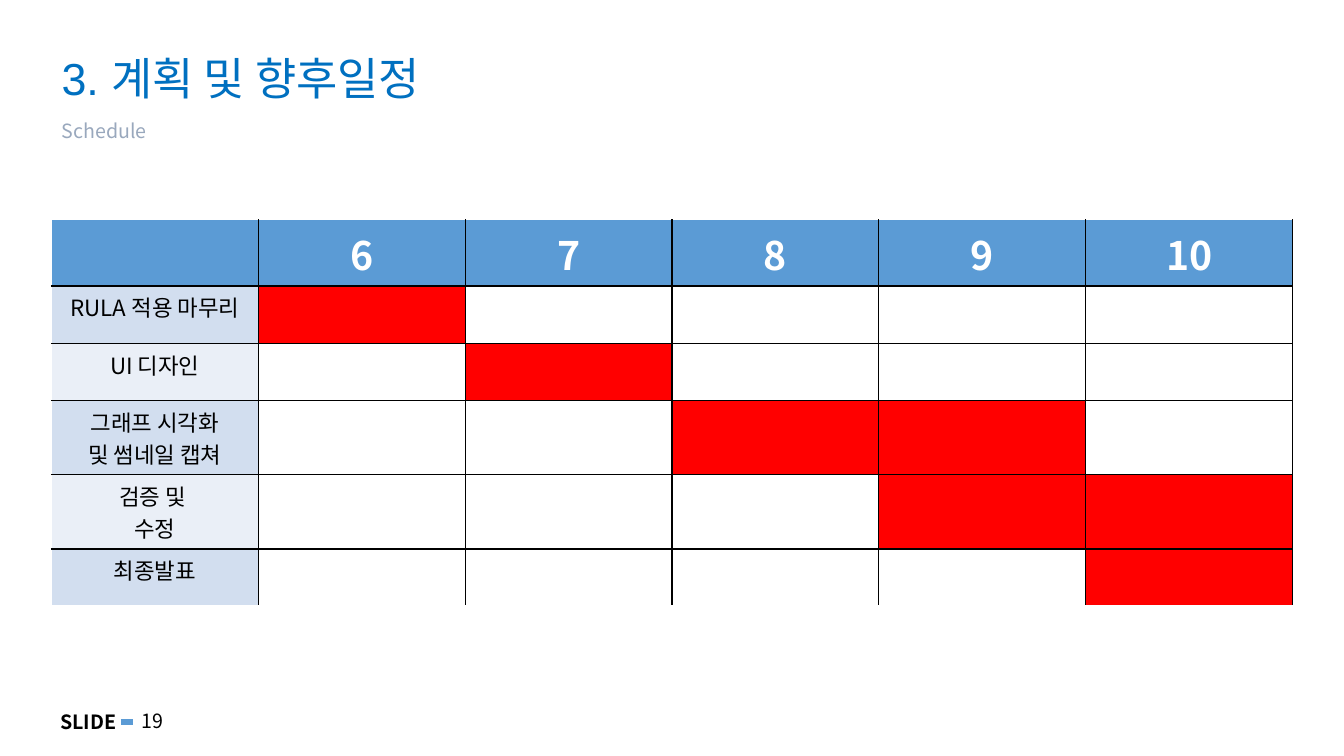
from dataclasses import dataclass

from lxml.etree import SubElement
from pptx import Presentation
from pptx.dml.color import RGBColor
from pptx.enum.shapes import MSO_CONNECTOR as Connector
from pptx.enum.text import MSO_ANCHOR as Anchor, MSO_AUTO_SIZE as AutoSize, PP_ALIGN as Align
from pptx.oxml.ns import qn
from pptx.util import Inches, Pt

FONT = "Noto Sans CJK KR"
BLACK, WHITE, BLUE, RED = "000000", "FFFFFF", "5B9BD5", "FF0000"
LABEL_FILLS = ("D2DEEF", "EAEFF7")
MONTHS = ("6", "7", "8", "9", "10")
SLIDE_WIDTH, SLIDE_HEIGHT = Inches(13.33), Inches(7.5)
# Row heights in percent of the slide's height
HEADER_ROW, SINGLE_ROW, DOUBLE_ROW = 8.77, 7.56, 9.83


@dataclass(frozen=True)
class Box:
    """A frame in percent of the slide's width and height."""
    left: float
    top: float
    width: float
    height: float

    def frame(self) -> tuple[int, int, int, int]:
        return (across(self.left), down(self.top), across(self.width), down(self.height))


@dataclass(frozen=True)
class Task:
    label: str
    months: tuple[str, ...]


@dataclass(frozen=True)
class FooterText:
    text: str
    box: Box
    bold: bool
    wrap: bool


TASKS = (
    Task("RULA 적용 마무리", ("6",)),
    Task("UI 디자인", ("7",)),
    Task("그래프 시각화\n및 썸네일 캡쳐", ("8", "9")),
    Task("검증 및 \n수정", ("9", "10")),
    Task("최종발표", ("10",)),
)
FOOTER = (
    FooterText("19", Box(9.8, 93.07, 5.33, 4.53), False, True),
    FooterText("SLIDE", Box(3.75, 93.2, 6.53, 4.53), True, False),
)
TITLE_BOX = Box(3.83, 6.53, 93.17, 8.27)
SUBTITLE_BOX = Box(3.83, 15.46, 93.17, 6.4)
TABLE_BOX = Box(3.83, 29.07, 92.35, 51.11)


def across(percent: float) -> int:
    return round(SLIDE_WIDTH * percent / 100)


def down(percent: float) -> int:
    return round(SLIDE_HEIGHT * percent / 100)


def color(value: str) -> RGBColor:
    return RGBColor.from_string(value)


def style(font, size: float, value: str, bold: bool = False, name: str = FONT) -> None:
    font.size, font.bold, font.name = Pt(size), bold, name
    font.color.rgb = color(value)
    # No pair kerning; East Asian glyphs take their own typeface element
    properties = font._element
    properties.set("kern", "0")
    latin = properties.find(qn("a:latin"))
    latin.addnext(latin.makeelement(qn("a:ea"), {"typeface": FONT}))


def place(shape, box: Box) -> None:
    shape.left, shape.top, shape.width, shape.height = box.frame()


def add_border(cell, side: str, value: str) -> None:
    properties = cell._tc.get_or_add_tcPr()
    line = SubElement(properties, qn(f"a:ln{side}"), w=str(Pt(1)))
    SubElement(SubElement(line, qn("a:solidFill")), qn("a:srgbClr"), val=value)


def fill_cell(cell, fill: str, edges: dict[str, bool]) -> None:
    """Paint a cell; outer edges are white, the others black."""
    for side, outer in edges.items():
        add_border(cell, side, WHITE if outer else BLACK)
    cell.fill.solid()
    cell.fill.fore_color.rgb = color(fill)


def write_cell(cell, text: str, size: float, value: str, bold: bool) -> None:
    cell.text_frame.text = text
    for paragraph in cell.text_frame.paragraphs:
        paragraph.alignment = Align.CENTER
        style(paragraph.font, size, value, bold)


def add_headings(slide) -> None:
    title, subtitle = slide.shapes.title, slide.placeholders[1]
    for shape, box, anchor in ((title, TITLE_BOX, Anchor.MIDDLE), (subtitle, SUBTITLE_BOX, Anchor.TOP)):
        place(shape, box)
        shape.text_frame.auto_size = AutoSize.NONE
        shape.text_frame.vertical_anchor = anchor
        paragraph = shape.text_frame.paragraphs[0]
        paragraph.alignment = Align.LEFT
        paragraph.line_spacing = 0.9
        paragraph.space_before = Pt(0)

    for text, name in (("3. ", "Arial"), ("계획 및 향후일정", FONT)):
        run = title.text_frame.paragraphs[0].add_run()
        run.text = text
        style(run.font, 32, "0070C0", name=name)

    paragraph = subtitle.text_frame.paragraphs[0]
    properties = paragraph._p.get_or_add_pPr()
    properties.set("marL", "0")
    properties.set("indent", "0")
    SubElement(properties, qn("a:buNone"))
    paragraph.text = "Schedule"
    style(paragraph.font, 14, "99A8BD")


def add_schedule(slide) -> None:
    row_count, column_count = len(TASKS) + 1, len(MONTHS) + 1
    table = slide.shapes.add_table(row_count, column_count, *TABLE_BOX.frame()).table
    for row in range(row_count):
        for column in range(column_count):
            cell = table.cell(row, column)
            if row == 0:
                fill = BLUE
            elif column == 0:
                fill = LABEL_FILLS[(row - 1) % 2]
            else:
                fill = RED if MONTHS[column - 1] in TASKS[row - 1].months else WHITE
            fill_cell(cell, fill, {"L": column == 0, "R": False, "T": row == 0, "B": row == row_count - 1})

    table.rows[0].height = down(HEADER_ROW)
    for column, month in enumerate(MONTHS, start=1):
        write_cell(table.cell(0, column), month, 28, WHITE, True)
    for row, task in enumerate(TASKS, start=1):
        table.rows[row].height = down(DOUBLE_ROW if "\n" in task.label else SINGLE_ROW)
        write_cell(table.cell(row, 0), task.label, 16, BLACK, False)


def add_footer(slide) -> None:
    for item in FOOTER:
        frame = slide.shapes.add_textbox(*item.box.frame()).text_frame
        frame.word_wrap = item.wrap
        frame.text = item.text
        frame.paragraphs[0].alignment = Align.LEFT
        style(frame.paragraphs[0].font, 14, BLACK, item.bold)

    dash = slide.shapes.add_connector(Connector.STRAIGHT, across(9), down(95.47), across(9.9), down(95.47))
    dash.line.color.rgb = color(BLUE)
    dash.line.width = Pt(4.5)
    SubElement(dash._element.spPr, qn("a:effectLst"))


def main() -> None:
    presentation = Presentation()
    presentation.slide_width, presentation.slide_height = SLIDE_WIDTH, SLIDE_HEIGHT
    slide = presentation.slides.add_slide(presentation.slide_layouts[1])
    add_footer(slide)
    add_headings(slide)
    add_schedule(slide)
    presentation.save("out.pptx")


if __name__ == "__main__":
    main()
